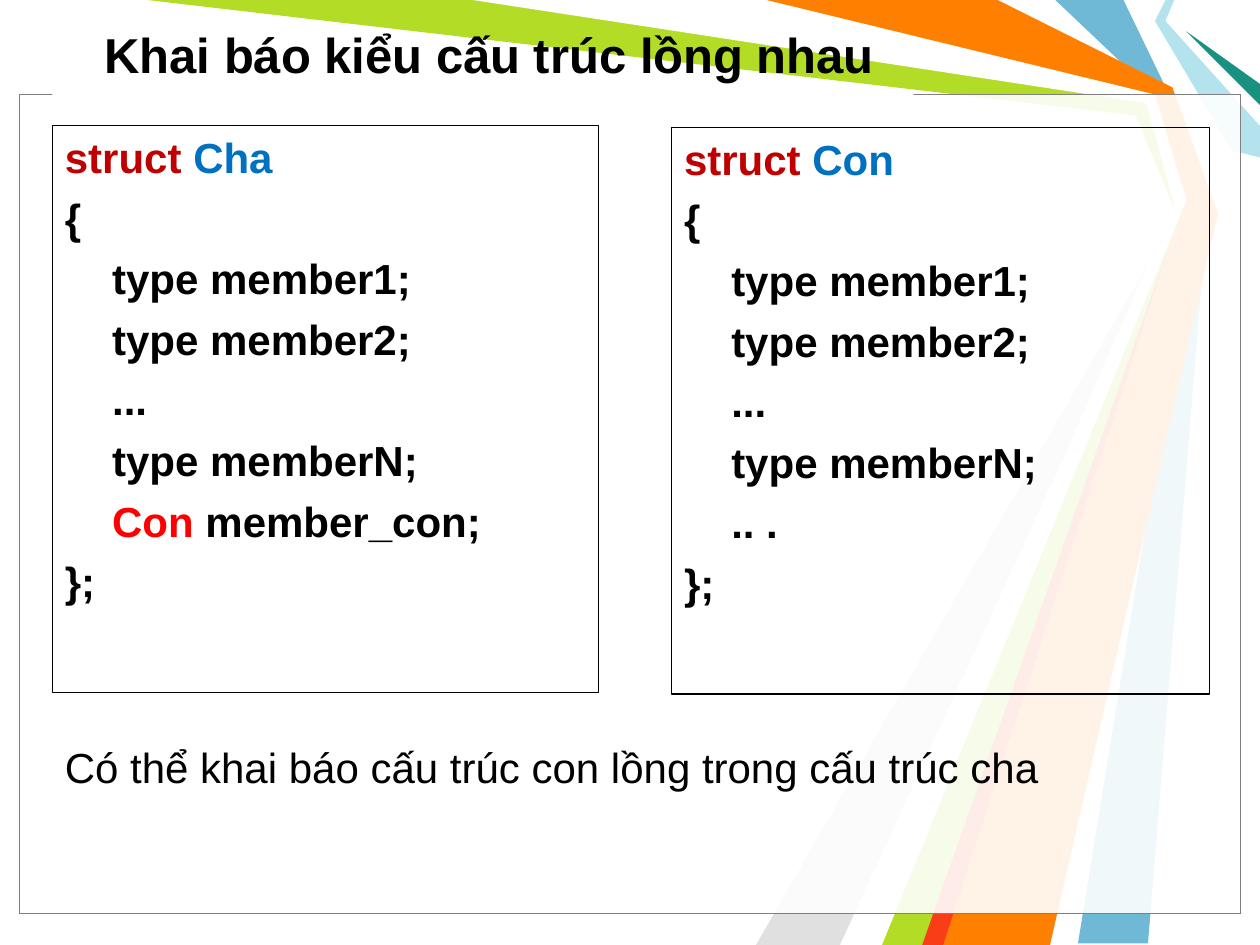
from lxml import etree
from pptx import Presentation
from pptx.dml.color import RGBColor
from pptx.enum.shapes import MSO_SHAPE
from pptx.enum.text import MSO_ANCHOR, PP_ALIGN
from pptx.oxml.ns import qn
from pptx.util import Pt

RECTANGLE = MSO_SHAPE.RECTANGLE
LEFT, JUSTIFY = PP_ALIGN.LEFT, PP_ALIGN.JUSTIFY
TOP, MIDDLE = MSO_ANCHOR.TOP, MSO_ANCHOR.MIDDLE

BLACK, WHITE, GRAY = "000000", "FFFFFF", "808080"
KEYWORD, TYPE_NAME, NESTED_TYPE = "C00000", "0070C0", "FF0000"
MEMBER_INDENT = 27

# Background ribbons, back to front: colour and corner points
RIBBONS = [
    ("6FB9D7", [(642, 0), (669, 55.5), (690, 120), (656, 539), (616, 539),
                (684, 120), (660, 54), (603, 0)]),
    ("B3DC27", [(84, 0), (276, 0), (658, 56), (678, 121.7), (534, 540),
                (498, 540), (673, 124.5), (649, 65.5)]),
    ("E0E0E0", [(480, 540), (667.5, 130.3), (432, 540)]),
    (WHITE, [(270, 0), (655, 59), (671, 116.6), (486, 540), (504, 540),
             (677.5, 113.8), (660, 54), (432, 0)]),
    ("B4E3EE", [(666, 0), (660, 12), (704, 86.4), (720, 90), (720, 72),
                (666, 12), (671, 0)]),
    ("189180", [(720, 60), (678, 18), (720, 48)]),
    ("FF7F00", [(438, 0), (570, 0), (669.6, 50.4), (695.5, 121.7), (600, 540),
                (528, 540), (678, 113.8), (660, 54)]),
    ("F93D17", [(527, 540), (671, 131.8), (539, 540)]),
]


def color(hex_string):
    return RGBColor.from_string(hex_string)


def write(paragraph, text, size=24, bold=False, ink=BLACK, align=LEFT):
    paragraph.alignment = align
    run = paragraph.add_run()
    run.text = text
    font = run.font
    font.name, font.size, font.bold = "Arial", Pt(size), bold
    font.color.rgb = color(ink)


class StructSlide:
    def __init__(self, slide):
        self.slide = slide
        self.shapes = slide.shapes

    def ribbon(self, fill, corners):
        builder = self.shapes.build_freeform(*corners[0], scale=Pt(1))
        builder.add_line_segments(corners[1:], close=True)
        self.style(builder.convert_to_shape(), fill)

    def style(self, shape, fill=None, line=None, opacity=100):
        shape.shadow.inherit = False
        if fill:
            shape.fill.solid()
            shape.fill.fore_color.rgb = color(fill)
            if opacity < 100:
                solid = shape.fill._xPr.find(qn("a:solidFill"))
                etree.SubElement(solid[0], qn("a:alpha"), val=str(opacity * 1000))
        else:
            shape.fill.background()
        if line:
            shape.line.color.rgb = color(line)
            shape.line.width = Pt(0.75)
        else:
            shape.line.fill.background()

    def box(self, bounds, **look):
        shape = self.shapes.add_shape(RECTANGLE, *map(Pt, bounds))
        self.style(shape, **look)
        return shape

    def title(self, text, bounds):
        title = self.shapes.title
        title.left, title.top, title.width, title.height = map(Pt, bounds)
        title.text_frame.vertical_anchor = MIDDLE
        write(title.text_frame.paragraphs[0], text, size=28, bold=True)
        # Bring the title in front of the background
        self.shapes._spTree.append(title._element)

    def code(self, bounds, name, members):
        frame = self.box(bounds, line=BLACK).text_frame
        frame.word_wrap = True
        frame.vertical_anchor = TOP
        lines = [(0, [("struct ", KEYWORD), (name, TYPE_NAME)]), (0, [("{", BLACK)])]
        lines += [(MEMBER_INDENT, member) for member in members]
        lines.append((0, [("};", BLACK)]))
        for number, (indent, runs) in enumerate(lines):
            paragraph = frame.add_paragraph() if number else frame.paragraphs[0]
            paragraph._p.get_or_add_pPr().set("marL", str(Pt(indent)))
            if number:
                paragraph.space_before = Pt(5.8)
            for text, ink in runs:
                write(paragraph, text, bold=True, ink=ink)

    def note(self, text, bounds):
        frame = self.shapes.add_textbox(*map(Pt, bounds)).text_frame
        frame.word_wrap = True
        write(frame.paragraphs[0], text, align=JUSTIFY)


def main():
    deck = Presentation()
    deck.slide_width, deck.slide_height = Pt(720), Pt(540)
    page = StructSlide(deck.slides.add_slide(deck.slide_layouts[5]))

    # Background: ribbons, two translucent panels, white strip under the title
    for fill, corners in RIBBONS:
        page.ribbon(fill, corners)
    for border in (BLACK, GRAY):
        page.box((11.3, 54, 697.7, 468), fill=WHITE, line=border, opacity=69)
    page.box((30, 53, 492, 12), fill=WHITE)

    page.title("Khai báo kiểu cấu trúc lồng nhau", (52.5, 6, 656, 50))

    # Parent and child structures
    shared = [[(text, BLACK)] for text in
              ("type member1;", "type member2;", "...", "type memberN;")]
    nested = [("Con ", NESTED_TYPE), ("member_con;", BLACK)]
    page.code((30, 71.7, 312, 324), "Cha", shared + [nested])
    page.code((383.8, 72.7, 307.4, 324), "Con", shared + [[(".. .", BLACK)]])

    page.note("Có thể khai báo cấu trúc con lồng trong cấu trúc cha",
              (30, 420, 662, 36))
    deck.save("out.pptx")


if __name__ == "__main__":
    main()
